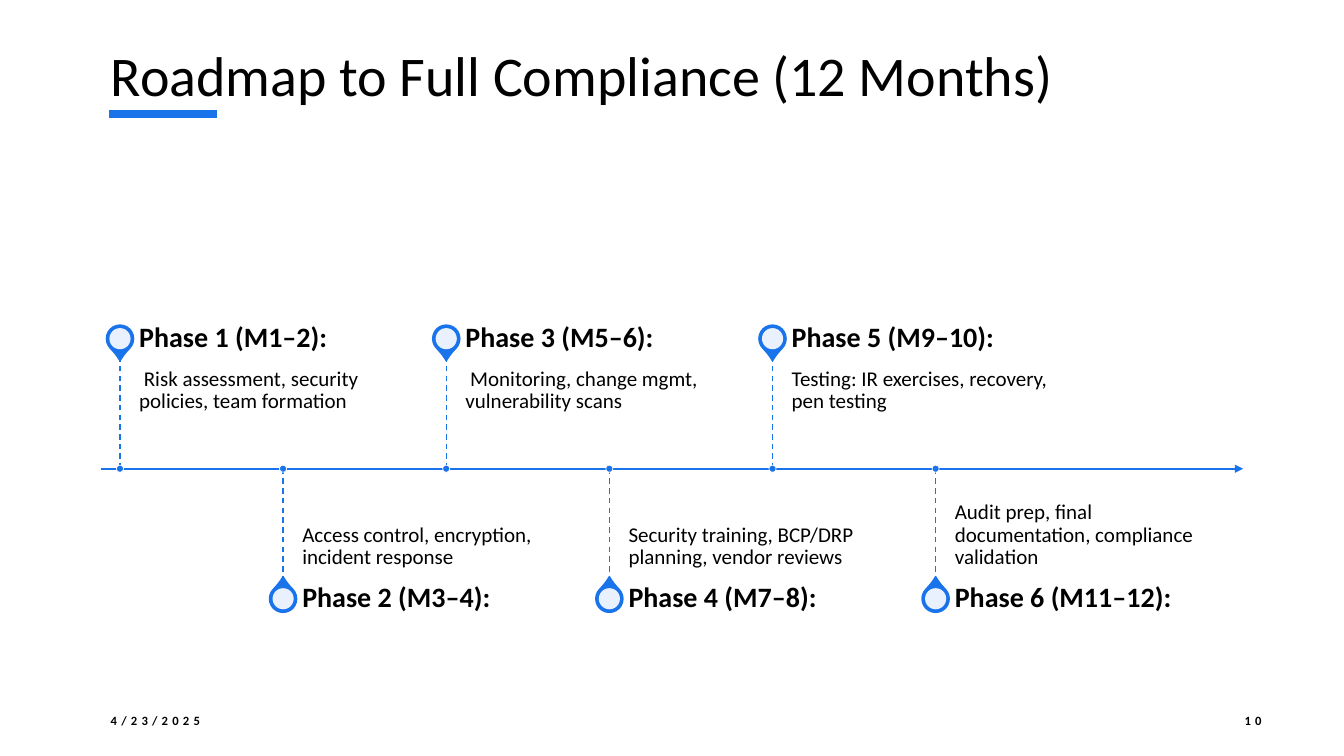
import pptx
import pptx.util
import pptx.dml.color
import pptx.enum.dml
import pptx.enum.shapes
import pptx.enum.text
import pptx.oxml
import pptx.oxml.ns
from dataclasses import dataclass
from lxml import etree

Inch = pptx.util.Inches
Kind = pptx.enum.shapes.MSO_SHAPE
Anchor = pptx.enum.text.MSO_ANCHOR
Align = pptx.enum.text.PP_ALIGN


@dataclass(frozen=True)
class Theme:
    font: str = "Calibri"
    blue: str = "1973EB"
    white: str = "FFFFFF"
    ink: str = "000000"
    title: int = 40
    head: int = 20
    body: int = 15
    foot: int = 9


THEME = Theme()

# Timeline grid, in inches: one column per phase, rows set off from the axis
WIDE, HIGH = 13.33, 7.5
LEFT, RIGHT, AXIS = 1, 12.33, 4.65
FIRST, LAST = 1.19, 9.28
STEM, PIN = 1.1, 1.29
GAP, TEXT, HEAD = 0.19, 2.69, 0.38

PHASES = [
    ("Phase 1 (M1–2):", " Risk assessment, security policies, team formation"),
    ("Phase 2 (M3–4):", "Access control, encryption, incident response"),
    ("Phase 3 (M5–6):", " Monitoring, change mgmt, vulnerability scans"),
    ("Phase 4 (M7–8):", "Security training, BCP/DRP planning, vendor reviews"),
    ("Phase 5 (M9–10):", "Testing: IR exercises, recovery, pen testing"),
    ("Phase 6 (M11–12):", "Audit prep, final documentation, compliance validation"),
]


def color(code):
    return pptx.dml.color.RGBColor.from_string(code)


def child(node, tag, **attrs):
    return etree.SubElement(node, pptx.oxml.ns.qn(tag), **attrs)


def write(frame, text, size, bold=False, anchor=Anchor.TOP,
          inset=(0.1, 0.05, 0.1, 0.05), align=Align.LEFT, space=1.0, track=0):
    frame.word_wrap = True
    frame.auto_size = pptx.enum.text.MSO_AUTO_SIZE.NONE
    frame.vertical_anchor = anchor
    (frame.margin_left, frame.margin_top,
     frame.margin_right, frame.margin_bottom) = map(Inch, inset)
    para = frame.paragraphs[0]
    para.alignment = align
    para.line_spacing = space
    run = para.add_run()
    run.text = text
    run.font.name = THEME.font
    run.font.size = pptx.util.Pt(size)
    run.font.bold = bold
    run.font.color.rgb = color(THEME.ink)
    if track:
        run.font._element.set("spc", str(track * 100))


def label(slide, left, top, width, height, text, size, **style):
    box = slide.shapes.add_textbox(*map(Inch, (left, top, width, height)))
    write(box.text_frame, text, size, **style)


def rule(slide, start, end, weight, dash=False, arrow=False):
    line = slide.shapes.add_connector(
        pptx.enum.shapes.MSO_CONNECTOR.STRAIGHT, *map(Inch, start + end))
    line.line.color.rgb = color(THEME.blue)
    line.line.width = pptx.util.Pt(weight)
    if dash:
        line.line.dash_style = pptx.enum.dml.MSO_LINE.DASH
    if arrow:
        child(line.line._get_or_add_ln(), "a:tailEnd", type="triangle")
    child(line._element.spPr, "a:effectLst")


def mark(slide, kind, x, y, size, fill, edge=None, weight=1):
    """Add a shape centred on a point."""
    shape = slide.shapes.add_shape(
        kind, *map(Inch, (x - size / 2, y - size / 2, size, size)))
    shape.shadow.inherit = False
    shape.fill.solid()
    shape.fill.fore_color.rgb = color(fill)
    if edge:
        shape.line.color.rgb = color(edge)
        shape.line.width = pptx.util.Pt(weight)
    else:
        shape.line.fill.background()
    return shape


def pin(slide, x, y, turn):
    drop = mark(slide, Kind.TEAR, x, y, 0.27, THEME.blue, THEME.blue)
    drop.adjustments[0] = 1.15
    drop.rotation = turn
    hole = mark(slide, Kind.OVAL, x, y, 0.21, THEME.white)
    tint = hole._element.spPr.find(".//" + pptx.oxml.ns.qn("a:srgbClr"))
    child(tint, "a:alpha", val="90000")


def phase(slide, x, above, head, body):
    side = -1 if above else 1
    row = AXIS + side * PIN
    pin(slide, x, row, 135 if above else 315)
    label(slide, x + GAP, AXIS - STEM if above else AXIS, TEXT, STEM,
          body, THEME.body, space=0.9,
          anchor=Anchor.TOP if above else Anchor.BOTTOM,
          inset=(0, 0.1, 0.1, 0.16) if above else (0, 0.16, 0, 0.1))
    label(slide, x + GAP, row - HEAD / 2, TEXT, HEAD, head, THEME.head,
          bold=True, space=0.9, anchor=Anchor.MIDDLE, inset=(0, 0, 0.14, 0))
    rule(slide, (x, AXIS), (x, AXIS + side * STEM), 1, dash=True)
    mark(slide, Kind.OVAL, x, AXIS, 0.07, THEME.blue, THEME.white, 0.5)


def main():
    deck = pptx.Presentation()
    deck.slide_width, deck.slide_height = Inch(WIDE), Inch(HIGH)
    slide = deck.slides.add_slide(deck.slide_layouts[5])

    # Title and accent bar
    title = slide.shapes.title
    title.left, title.top, title.width, title.height = map(
        Inch, (LEFT, 0.32, RIGHT - LEFT, 1.3))
    write(title.text_frame, "Roadmap to Full Compliance (12 Months)",
          THEME.title, inset=(0.1, 0.08, 0.1, 0.05))
    rule(slide, (1.08, 1.13), (2.15, 1.13), 6)

    # Timeline, phases alternating above and below the axis
    rule(slide, (LEFT, AXIS), (RIGHT, AXIS), 1.5, arrow=True)
    step = (LAST - FIRST) / (len(PHASES) - 1)
    for i, (head, body) in enumerate(PHASES):
        phase(slide, FIRST + i * step, i % 2 == 0, head, body)

    # Footer
    for left, width, text, align in (
            (LEFT, 3, "4/23/2025", Align.LEFT),
            (11.82, 0.79, "10", Align.RIGHT)):
        label(slide, left, 6.95, width, 0.4, text, THEME.foot, bold=True,
              anchor=Anchor.MIDDLE, align=align, track=3)

    deck.save("out.pptx")


if __name__ == "__main__":
    main()
